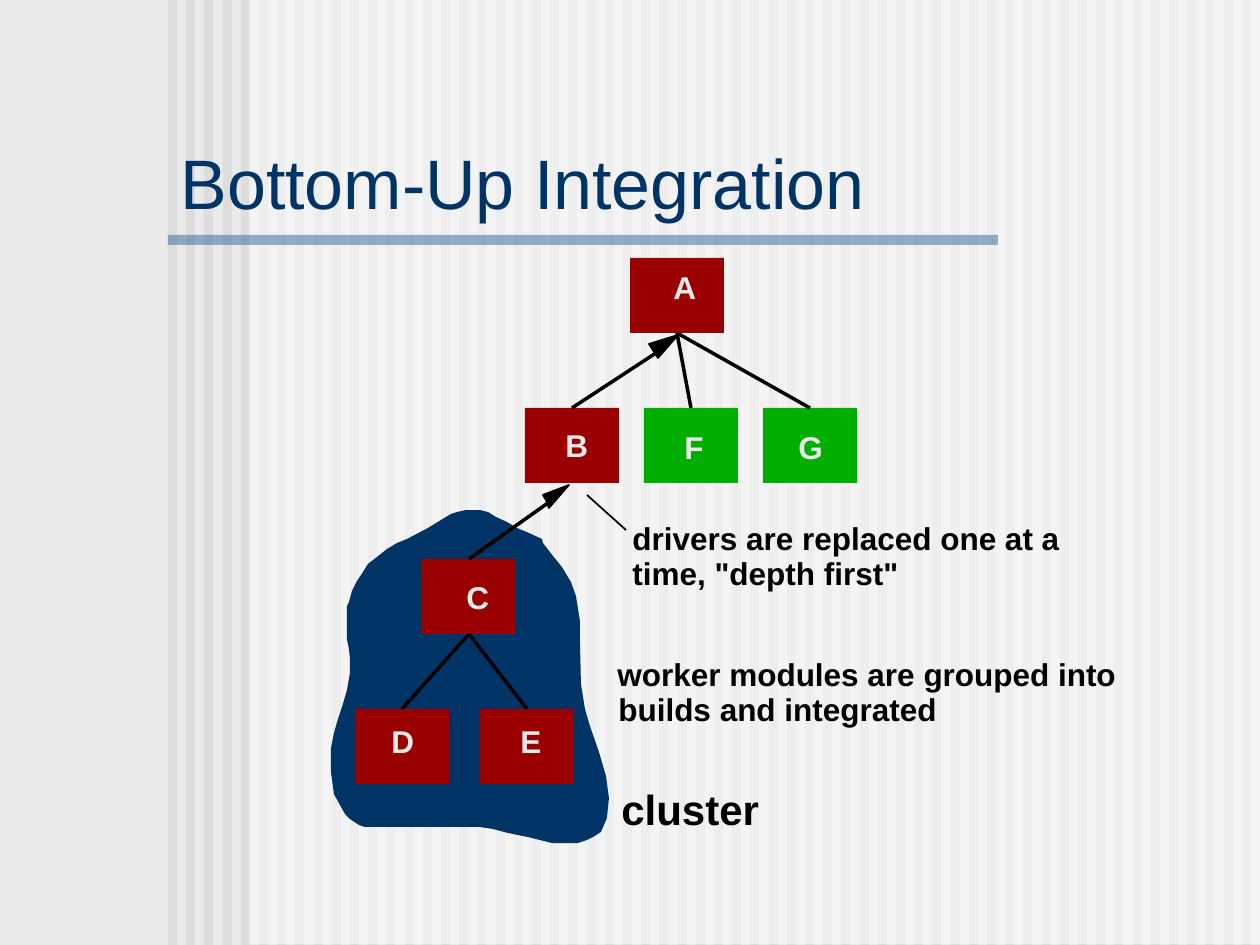
from lxml.etree import SubElement
from pptx import Presentation
from pptx.dml.color import RGBColor
from pptx.enum.shapes import MSO_CONNECTOR, MSO_SHAPE
from pptx.enum.text import MSO_ANCHOR, MSO_AUTO_SIZE, PP_ALIGN
from pptx.oxml.ns import qn
from pptx.util import Emu, Pt

SCALE = 914400 / 126
SLIDE_W, SLIDE_H = 1260, 945
FONT = "Arial"

GREY = RGBColor(0xEA, 0xEA, 0xEA)
STRIPE = RGBColor(0xDD, 0xDD, 0xDD)
WHITE = RGBColor(0xFF, 0xFF, 0xFF)
RULE = RGBColor(0x33, 0x66, 0x99)
NAVY = RGBColor(0x00, 0x33, 0x66)
RED = RGBColor(0x9A, 0x00, 0x00)
GREEN = RGBColor(0x00, 0xAE, 0x00)
BLACK = RGBColor(0x00, 0x00, 0x00)

STRIPE_COUNT, STRIPE_LEFT, STRIPE_PITCH, STRIPE_W = 60, 168, 18.2, 9
MODULE_W, MODULE_H = 94, 75
TOP, BOTTOM = 0, 2

MODULES = [
    ("A", 630, 258, RED, 661, 262),
    ("B", 525, 408, RED, 553, 420),
    ("C", 422, 559, RED, 454, 572),
    ("D", 355, 709, RED, 379, 716),
    ("E", 480, 709, RED, 508, 716),
    ("F", 644, 408, GREEN, 672, 422),
    ("G", 763, 408, GREEN, 786, 422),
]
LINKS = [("C", "D"), ("C", "E"), ("A", "F"), ("A", "G")]
ARROWS = [
    ("B", (656, 353), [(678, 335), (658, 358), (654, 352), (649, 344)]),
    ("C", (548, 503), [(569, 485), (549, 508), (546, 500), (543, 495)]),
]
NOTES = [
    ("drivers are replaced one at a", 620, 513, 461, 50, 18),
    ("time, \"depth first\"", 620, 548, 291, 50, 18),
    ("worker modules are grouped into", 605, 649, 533, 50, 18),
    ("builds and integrated", 606, 684, 344, 50, 18),
    ("cluster", 609, 777, 163, 63, 24),
]
CLUSTER = [
    (542, 539), (529, 533), (517, 528), (507, 522), (496, 517), (488, 512),
    (480, 510), (466, 510), (457, 512), (451, 514), (441, 520), (428, 528),
    (407, 539), (397, 543), (387, 549), (377, 557), (368, 564), (363, 572),
    (357, 581), (352, 591), (349, 602), (347, 606), (347, 639), (349, 649),
    (350, 659), (350, 673), (347, 690), (343, 704), (338, 719), (334, 733),
    (331, 748), (331, 772), (334, 794), (340, 805), (345, 814), (350, 819),
    (359, 825), (365, 827), (480, 827), (493, 829), (508, 833), (528, 837),
    (552, 843), (578, 843), (587, 840), (593, 837), (601, 832), (607, 818),
    (609, 798), (606, 776), (599, 752), (590, 726), (585, 709), (581, 684),
    (580, 641), (580, 621), (576, 596), (571, 582), (562, 567), (553, 556),
    (543, 543),
]


def px(n):
    return Emu(round(n * SCALE))


def paint(sp, color, alpha=None):
    sp.shadow.inherit = False
    sp.fill.solid()
    sp.fill.fore_color.rgb = color
    sp.line.fill.background()
    if alpha is not None:
        clr = sp._element.spPr.find(qn("a:solidFill")).find(qn("a:srgbClr"))
        SubElement(clr, qn("a:alpha")).set("val", str(alpha * 1000))


def add_rect(s, x, y, w, h, color, alpha=None):
    sp = s.shapes.add_shape(MSO_SHAPE.RECTANGLE, px(x), px(y), px(w), px(h))
    paint(sp, color, alpha)
    return sp


def add_outline(s, points, color):
    builder = s.shapes.build_freeform(*points[0], scale=SCALE)
    builder.add_line_segments(points[1:], close=True)
    sp = builder.convert_to_shape()
    paint(sp, color)
    return sp


def add_line(s, start, end, width):
    line = s.shapes.add_connector(
        MSO_CONNECTOR.STRAIGHT, *(px(n) for n in start + end))
    line.line.color.rgb = BLACK
    line.line.width = Pt(width)
    SubElement(line._element.spPr, qn("a:effectLst"))
    return line


def add_run(p, text, size, color, bold=False):
    r = p.add_run()
    r.text = text
    r.font.name = FONT
    r.font.size = Pt(size)
    r.font.bold = bold
    r.font.color.rgb = color


def add_label(s, text, x, y, w, h, size, color):
    tf = s.shapes.add_textbox(px(x), px(y), px(w), px(h)).text_frame
    tf.word_wrap = False
    tf.auto_size = MSO_AUTO_SIZE.SHAPE_TO_FIT_TEXT
    add_run(tf.paragraphs[0], text, size, color, bold=True)


def add_backdrop(s):
    s.background.fill.solid()
    s.background.fill.fore_color.rgb = GREY
    for i in range(STRIPE_COUNT):
        x = round(STRIPE_LEFT + i * STRIPE_PITCH)
        add_rect(s, x, 0, STRIPE_W, SLIDE_H, STRIPE)
    add_rect(s, 249, -1, SLIDE_W - 249, SLIDE_H, WHITE, 50)
    add_rect(s, STRIPE_LEFT, 235, 830, 10, RULE, 50)


def add_title(s, text):
    title = s.shapes.title
    s.shapes._spTree.append(title._element)
    title.left, title.top, title.width, title.height = (
        px(n) for n in (168, 147, 779, 70))
    tf = title.text_frame
    tf.auto_size = MSO_AUTO_SIZE.NONE
    tf.vertical_anchor = MSO_ANCHOR.MIDDLE
    p = tf.paragraphs[0]
    p.alignment = PP_ALIGN.LEFT
    add_run(p, text, 40, NAVY)


def add_tree(s):
    boxes = {name: add_rect(s, x, y, MODULE_W, MODULE_H, color)
             for name, x, y, color, _, _ in MODULES}
    for child, base, head in ARROWS:
        tip = add_outline(s, head, BLACK)
        tip.line.color.rgb = BLACK
        tip.line.width = Pt(1)
        add_line(s, base, base, 2).end_connect(boxes[child], TOP)
    for parent, child in LINKS:
        line = add_line(s, (0, 0), (0, 0), 2)
        line.begin_connect(boxes[parent], BOTTOM)
        line.end_connect(boxes[child], TOP)


def main():
    prs = Presentation()
    prs.slide_width, prs.slide_height = px(SLIDE_W), px(SLIDE_H)
    s = prs.slides.add_slide(prs.slide_layouts[5])
    add_backdrop(s)
    add_title(s, "Bottom-Up Integration")
    add_outline(s, CLUSTER, NAVY)
    add_tree(s)
    for text, x, y, w, h, size in NOTES:
        add_label(s, text, x, y, w, h, size, BLACK)
    for name, _, _, _, x, y in MODULES:
        add_label(s, name, x, y, 48, 50, 18, GREY)
    add_line(s, (587, 495), (626, 530), 1)
    prs.save("out.pptx")


if __name__ == "__main__":
    main()
